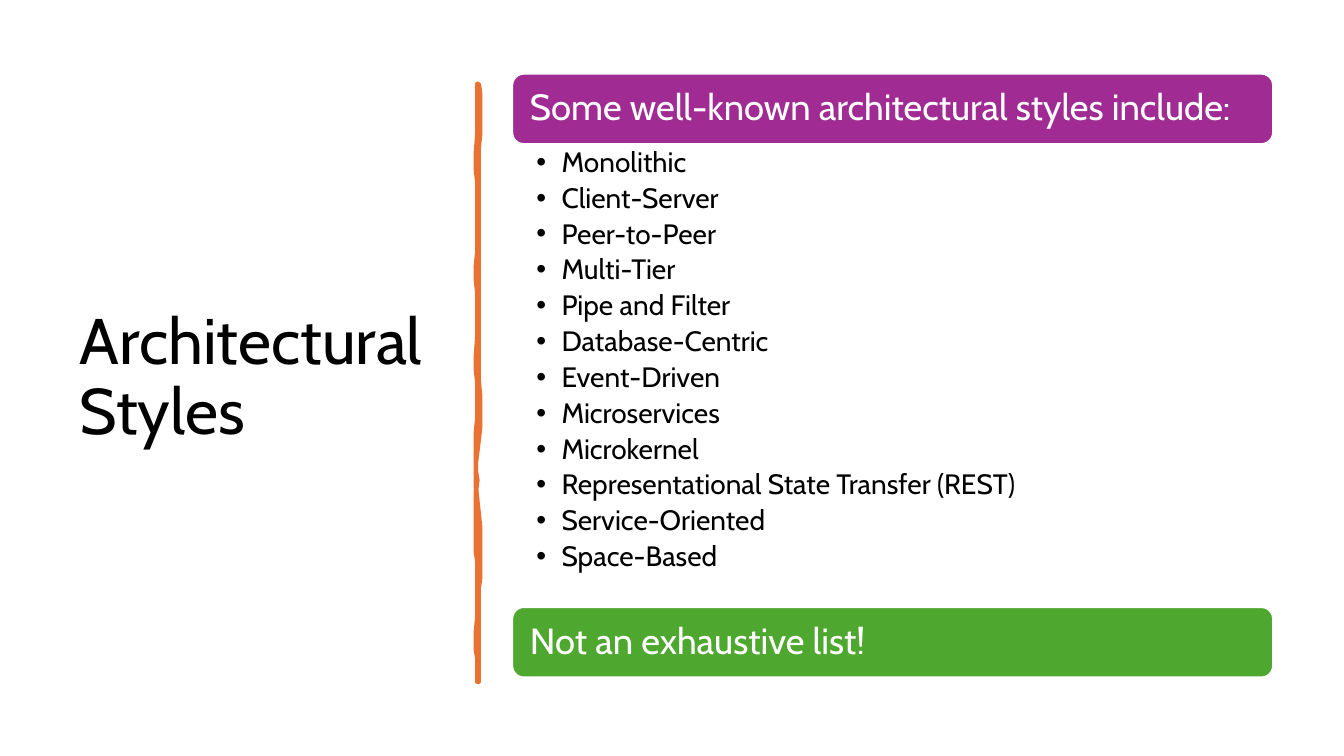
from lxml import etree
from pptx import Presentation
from pptx.dml.color import RGBColor
from pptx.enum import shapes, text
from pptx.oxml.ns import qn
from pptx.util import Pt

TITLE = "Architectural Styles"
INTRO = "Some well-known architectural styles include:"
STYLES = [
    "Monolithic", "Client-Server", "Peer-to-Peer", "Multi-Tier",
    "Pipe and Filter", "Database-Centric", "Event-Driven", "Microservices",
    "Microkernel", "Representational State Transfer (REST)",
    "Service-Oriented", "Space-Based",
]
CLOSING = "Not an exhaustive list!"

FONT = "Cabin"
COLORS = {"text": "000000", "white": "FFFFFF", "rule": "E97132",
          "intro": "A02B93", "closing": "4EA72E"}

# Outline of the hand-drawn rule: two control points and an end for each curve
RULE_START = (342, 60.5)
RULE_CURVES = [
    (343.4, 73, 343.4, 86, 342, 105),
    (340.6, 125, 342.7, 140, 342, 163),
    (341.3, 185, 342, 189, 342, 212),
    (341.3, 234, 343.4, 246, 342, 256),
    (340.6, 266, 344.9, 298, 342, 314),
    (339.1, 329, 339.8, 348, 342, 367),
    (343.4, 386, 343.4, 406, 342, 420),
    (340.6, 434, 342.7, 468, 342, 486.7),
    (341.3, 486.7, 340.6, 486.7, 340.6, 486.7),
    (341.3, 465, 339.1, 464, 340.6, 441),
    (341.3, 420, 341.3, 410, 340.6, 401),
    (339.8, 392, 339.8, 356, 340.6, 343),
    (340.6, 330, 339.1, 320, 340.6, 299),
    (341.3, 278, 339.8, 269, 340.6, 241),
    (341.3, 215, 339.8, 202, 340.6, 180),
    (341.3, 157, 342, 144, 340.6, 130),
    (338.4, 117, 343.4, 75, 340.6, 60.5),
]
CURVE_STEPS = 6

LEFT, WIDTH = 365.8, 543.6
INTRO_TOP, CLOSING_TOP, BAR_HEIGHT = 52.6, 433.6, 50.4
LIST_TOP = INTRO_TOP + BAR_HEIGHT


def color(name):
    return RGBColor.from_string(COLORS[name])


def set_margins(frame, left, top, right, bottom):
    frame.margin_left, frame.margin_top = Pt(left), Pt(top)
    frame.margin_right, frame.margin_bottom = Pt(right), Pt(bottom)


def format_paragraph(paragraph, size, color_name):
    paragraph.alignment = text.PP_ALIGN.LEFT
    paragraph.line_spacing = 0.9
    paragraph.font.name = FONT
    paragraph.font.size = Pt(size)
    paragraph.font.color.rgb = color(color_name)


def add_title(slide):
    title = slide.shapes.title
    title.left, title.top = Pt(49.7), Pt(50.4)
    title.width, title.height = Pt(269.3), Pt(440)
    frame = title.text_frame
    frame.text = TITLE
    frame.word_wrap = True
    frame.vertical_anchor = text.MSO_ANCHOR.MIDDLE
    format_paragraph(frame.paragraphs[0], 46, "text")


def curve_points(start, curves):
    """Return points along a chain of cubic curves."""
    points = []
    for curve in curves:
        corners = [start, curve[:2], curve[2:4], curve[4:]]
        for step in range(1, CURVE_STEPS + 1):
            t = step / CURVE_STEPS
            weights = ((1 - t) ** 3, 3 * t * (1 - t) ** 2,
                       3 * t * t * (1 - t), t ** 3)
            points.append(tuple(
                sum(weight * corner[axis] for weight, corner in zip(weights, corners))
                for axis in (0, 1)))
        start = curve[4:]
    return points


def add_rule(slide):
    builder = slide.shapes.build_freeform(*RULE_START, scale=Pt(1))
    builder.add_line_segments(curve_points(RULE_START, RULE_CURVES), close=True)
    rule = builder.convert_to_shape()
    rule.shadow.inherit = False
    rule.fill.solid()
    rule.fill.fore_color.rgb = color("rule")
    rule.line.color.rgb = color("rule")
    rule.line.width = Pt(3.25)


def add_bar(slide, top, words, fill):
    bar = slide.shapes.add_shape(shapes.MSO_SHAPE.ROUNDED_RECTANGLE,
                                 Pt(LEFT), Pt(top), Pt(WIDTH), Pt(BAR_HEIGHT))
    bar.shadow.inherit = False
    bar.fill.solid()
    bar.fill.fore_color.rgb = color(fill)
    bar.line.color.rgb = color("white")
    bar.line.width = Pt(1.5)
    frame = bar.text_frame
    frame.word_wrap = True
    frame.vertical_anchor = text.MSO_ANCHOR.MIDDLE
    set_margins(frame, 10.3, 8, 10.3, 8)
    frame.text = words
    format_paragraph(frame.paragraphs[0], 26, "white")


def add_bullet(paragraph):
    properties = paragraph._p.get_or_add_pPr()
    properties.set("marL", str(Pt(18)))
    properties.set("indent", str(-Pt(18)))
    etree.SubElement(properties, qn("a:buFont")).set("typeface", "Arial")
    etree.SubElement(properties, qn("a:buChar")).set("char", "•")


def add_style_list(slide):
    box = slide.shapes.add_textbox(Pt(LEFT), Pt(LIST_TOP), Pt(WIDTH),
                                   Pt(CLOSING_TOP - LIST_TOP))
    frame = box.text_frame
    frame.word_wrap = True
    set_margins(frame, 17.3, 2.9, 14.4, 2.9)
    frame.text = "\n".join(STYLES)
    for paragraph in frame.paragraphs:
        add_bullet(paragraph)
        format_paragraph(paragraph, 20, "text")
        paragraph.space_after = Pt(4)


def main():
    presentation = Presentation()
    presentation.slide_width, presentation.slide_height = Pt(960), Pt(540)
    slide = presentation.slides.add_slide(presentation.slide_layouts[5])
    add_title(slide)
    add_rule(slide)
    add_bar(slide, INTRO_TOP, INTRO, "intro")
    add_style_list(slide)
    add_bar(slide, CLOSING_TOP, CLOSING, "closing")
    presentation.save("out.pptx")


if __name__ == "__main__":
    main()
